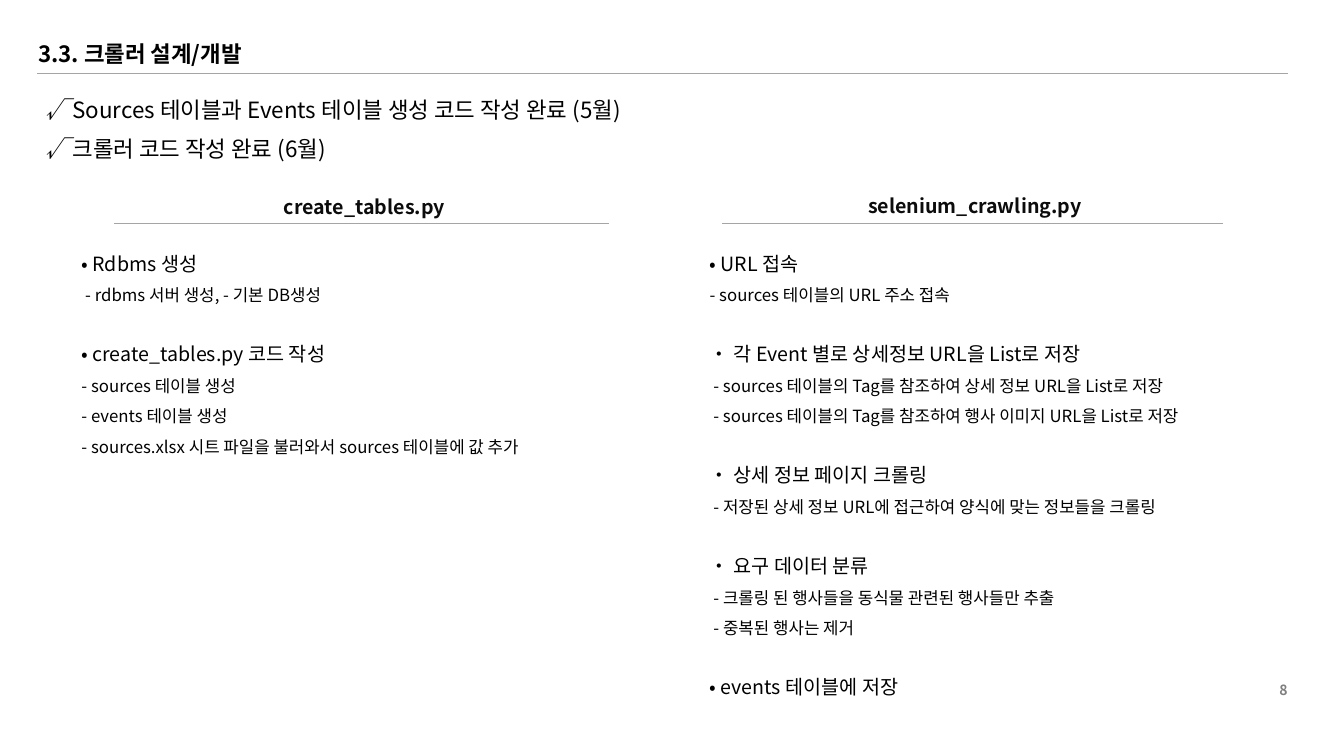
from dataclasses import dataclass

from lxml import etree
from pptx import Presentation
from pptx.dml import color
from pptx.enum import shapes, text
from pptx.oxml import ns
from pptx.slide import Slide
from pptx.text import text as rich
from pptx.util import Inches, Pt


@dataclass(frozen=True)
class Theme:
    font: str = "Noto Sans CJK KR"
    ink: str = "000000"
    heading: str = "0C0C0C"
    rule: str = "A5A5A5"
    muted: str = "7F7F7F"
    title_size: int = 16
    topic_size: int = 14
    detail_size: int = 12
    number_size: int = 10
    summary_spacing: float = 1.44
    body_spacing: float = 1.5
    topic_gap: int = 18
    rule_width: float = 0.75


@dataclass(frozen=True)
class Box:
    left: float
    top: float
    width: float
    height: float


@dataclass(frozen=True)
class Rule:
    left: float
    right: float
    y: float


@dataclass(frozen=True)
class Topic:
    name: str
    details: tuple[str, ...] = ()


@dataclass(frozen=True)
class Module:
    name: str
    heading: Box
    underline: Rule
    body: Box
    topics: tuple[Topic, ...]


THEME = Theme()

SUMMARY = (
    "Sources 테이블과 Events 테이블 생성 코드 작성 완료 (5월)",
    "크롤러 코드 작성 완료 (6월)",
)

MODULES = (
    Module(
        "selenium_crawling.py",
        Box(7.2, 1.87, 4.94, 0.34),
        Rule(7.16, 12.13, 2.22),
        Box(6.94, 2.33, 5.85, 5.2),
        (
            Topic("URL 접속", ("- sources 테이블의 URL 주소 접속",)),
            Topic(
                "각 Event 별로 상세정보 URL을 List로 저장",
                (
                    " - sources 테이블의 Tag를 참조하여 상세 정보 URL을 List로 저장",
                    " - sources 테이블의 Tag를 참조하여 행사 이미지 URL을 List로 저장",
                ),
            ),
            Topic(
                "상세 정보 페이지 크롤링",
                (" - 저장된 상세 정보 URL에 접근하여 양식에 맞는 정보들을 크롤링",),
            ),
            Topic(
                "요구 데이터 분류",
                (
                    " - 크롤링 된 행사들을 동식물 관련된 행사들만 추출",
                    " - 중복된 행사는 제거",
                ),
            ),
            Topic("events 테이블에 저장"),
        ),
    ),
    Module(
        "create_tables.py",
        Box(1.18, 1.88, 4.87, 0.34),
        Rule(1.13, 6.04, 2.22),
        Box(0.71, 2.33, 5.85, 4.64),
        (
            Topic("Rdbms 생성", (" - rdbms 서버 생성, - 기본 DB생성",)),
            Topic(
                "create_tables.py 코드 작성",
                (
                    "- sources 테이블 생성",
                    "- events 테이블 생성",
                    "- sources.xlsx 시트 파일을 불러와서 sources 테이블에 값 추가",
                ),
            ),
        ),
    ),
)


def add_frame(slide: Slide, box: Box) -> rich.TextFrame:
    frame = slide.shapes.add_textbox(
        Inches(box.left), Inches(box.top), Inches(box.width), Inches(box.height)
    ).text_frame
    frame.word_wrap = True
    return frame


def next_paragraph(frame: rich.TextFrame, spacing: float = 1.0) -> rich._Paragraph:
    first = frame.paragraphs[0]
    paragraph = frame.add_paragraph() if first.runs else first
    paragraph.line_spacing = spacing
    return paragraph


def add_run(
    paragraph: rich._Paragraph,
    words: str,
    size: int,
    ink: str = THEME.ink,
    bold: bool = False,
    italic: bool = False,
) -> None:
    run = paragraph.add_run()
    run.text = words
    font = run.font
    font.size = Pt(size)
    font.bold = bold
    font.italic = italic
    font.color.rgb = color.RGBColor.from_string(ink)
    font.name = THEME.font
    east_asian = etree.SubElement(run._r.get_or_add_rPr(), ns.qn("a:ea"))
    east_asian.set("typeface", THEME.font)


def add_rule(slide: Slide, rule: Rule) -> None:
    line = slide.shapes.add_connector(
        shapes.MSO_CONNECTOR.STRAIGHT,
        Inches(rule.left), Inches(rule.y), Inches(rule.right), Inches(rule.y),
    )
    line.line.color.rgb = color.RGBColor.from_string(THEME.rule)
    line.line.width = Pt(THEME.rule_width)
    etree.SubElement(line._element.spPr, ns.qn("a:effectLst"))


def add_module(slide: Slide, module: Module) -> None:
    add_rule(slide, module.underline)
    heading = next_paragraph(add_frame(slide, module.heading))
    heading.alignment = text.PP_ALIGN.CENTER
    add_run(heading, module.name, THEME.topic_size, THEME.heading, bold=True)

    body = add_frame(slide, module.body)
    for index, topic in enumerate(module.topics):
        topic_line = next_paragraph(body, THEME.body_spacing)
        if index:
            topic_line.space_before = Pt(THEME.topic_gap)
        add_run(topic_line, f"• {topic.name}", THEME.topic_size)
        for detail in topic.details:
            detail_line = next_paragraph(body, THEME.body_spacing)
            add_run(detail_line, detail, THEME.detail_size)


def main() -> None:
    deck = Presentation()
    deck.slide_width, deck.slide_height = Inches(13.33), Inches(7.5)
    slide = deck.slides.add_slide(deck.slide_layouts[6])

    page_number = next_paragraph(add_frame(slide, Box(12.59, 6.71, 0.72, 0.4)))
    add_run(page_number, "8", THEME.number_size, THEME.muted, bold=True)

    title = next_paragraph(add_frame(slide, Box(0.28, 0.23, 5.37, 0.37)), THEME.summary_spacing)
    add_run(title, "3.3. 크롤러 설계/개발", THEME.title_size, bold=True)
    add_rule(slide, Rule(0.37, 12.77, 0.73))

    summary = add_frame(slide, Box(0.35, 0.79, 12.71, 0.76))
    for achievement in SUMMARY:
        summary_line = next_paragraph(summary, THEME.summary_spacing)
        add_run(summary_line, "√ ", THEME.title_size, italic=True)
        add_run(summary_line, achievement, THEME.title_size)

    for module in MODULES:
        add_module(slide, module)

    deck.save("out.pptx")


if __name__ == "__main__":
    main()
